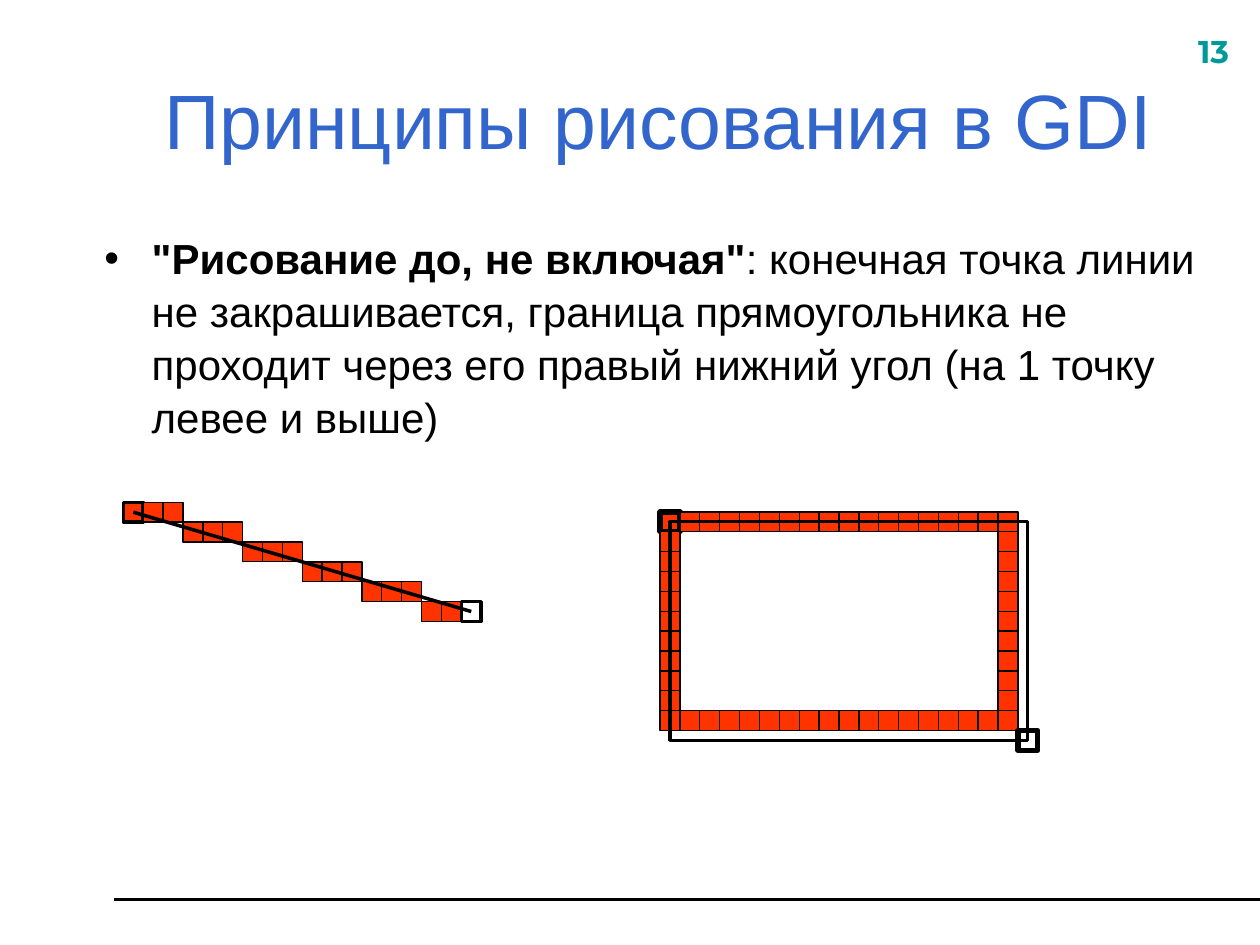
"""Build the slide about the drawing principles of GDI."""
from dataclasses import dataclass

from lxml.etree import SubElement
from pptx import Presentation
from pptx.dml.color import RGBColor
from pptx.enum.shapes import MSO_CONNECTOR, MSO_SHAPE
from pptx.enum.text import MSO_ANCHOR, MSO_AUTO_SIZE, PP_ALIGN
from pptx.oxml.ns import qn
from pptx.util import Pt


@dataclass(frozen=True)
class Theme:
    font: str = "Arial"
    number_font: str = "Montserrat"
    title_size: float = 44
    body_size: float = 24
    number_size: float = 18
    title_color: str = "3366CC"
    number_color: str = "009999"
    ink: str = "000000"
    pixel: str = "FF3300"
    blank: str = "FFFFFF"


THEME = Theme()
TITLE = "Принципы рисования в GDI"
BODY = [
    ('"Рисование до, не включая"', True),
    (": конечная точка линии не закрашивается, граница прямоугольника не "
     "проходит через его правый нижний угол (на 1 точку левее и выше)", False),
]
NUMBER = "13"
CELL = 11.36
THIN = 0.75
COLUMNS, ROWS = 18, 11
STEP = 3
LINE = {
    "origin": (70.5, 287),
    "pixels": [(column, column // STEP) for column in range(COLUMNS - 1)],
    "end": (COLUMNS - 1, (COLUMNS - 1) // STEP),
    "marker": 2,
}
RECTANGLE = {
    "origin": (377.2, 292.5),
    "pixels": [(column, 0) for column in range(COLUMNS)]
    + [(0, row) for row in range(1, ROWS)]
    + [(column, ROWS - 1) for column in range(1, COLUMNS)]
    + [(COLUMNS - 1, row) for row in range(1, ROWS - 1)],
    "end": (COLUMNS, ROWS),
    "marker": 3,
}


def color(value):
    return RGBColor.from_string(value)


def place(shape, left, top, width, height):
    shape.left, shape.top = Pt(left), Pt(top)
    shape.width, shape.height = Pt(width), Pt(height)


def style(span, size, tint, font=THEME.font, bold=False):
    span.font.name, span.font.size, span.font.bold = font, Pt(size), bold
    span.font.color.rgb = color(tint)


def add_box(page, left, top, width, height, fill, weight):
    box = page.shapes.add_shape(
        MSO_SHAPE.RECTANGLE, Pt(left), Pt(top), Pt(width), Pt(height))
    box.shadow.inherit = False
    if fill:
        box.fill.solid()
        box.fill.fore_color.rgb = color(fill)
    else:
        box.fill.background()
    box.line.color.rgb = color(THEME.ink)
    box.line.width = Pt(weight)


def add_line(page, start, end, weight):
    line = page.shapes.add_connector(
        MSO_CONNECTOR.STRAIGHT, *(Pt(value) for value in (*start, *end)))
    line.line.color.rgb = color(THEME.ink)
    line.line.width = Pt(weight)
    SubElement(line._element.spPr, qn("a:effectLst"))


def cell_corner(figure, cell):
    return [start + index * CELL for start, index in zip(figure["origin"], cell)]


def cell_center(figure, cell):
    return [value + CELL / 2 for value in cell_corner(figure, cell)]


def add_pixels(page, figure):
    for cell in figure["pixels"]:
        weight = THIN if any(cell) else figure["marker"]
        add_box(page, *cell_corner(figure, cell), CELL, CELL, THEME.pixel, weight)
    add_box(page, *cell_corner(figure, figure["end"]), CELL, CELL,
            THEME.blank, figure["marker"])


def add_title(page):
    title = page.shapes.title
    place(title, 52.5, 23, 648, 90)
    title.text_frame.text = TITLE
    title.text_frame.auto_size = MSO_AUTO_SIZE.NONE
    title.text_frame.vertical_anchor = MSO_ANCHOR.MIDDLE
    para = title.text_frame.paragraphs[0]
    para.alignment = PP_ALIGN.CENTER
    style(para.runs[0], THEME.title_size, THEME.title_color)


def add_body(page):
    body = page.placeholders[1]
    place(body, 52.5, 128, 648, 356.5)
    body.text_frame.auto_size = MSO_AUTO_SIZE.NONE
    para = body.text_frame.paragraphs[0]
    para.space_before, para.line_spacing = Pt(6), 1.05
    properties = para._p.get_or_add_pPr()
    properties.set("marL", str(Pt(27)))
    properties.set("indent", str(-Pt(27)))
    for text, bold in BODY:
        span = para.add_run()
        span.text = text
        style(span, THEME.body_size, THEME.ink, bold=bold)


def add_number(page):
    box = page.shapes.add_textbox(Pt(677.5), Pt(15), Pt(45.5), Pt(31.5))
    box.text_frame.word_wrap = True
    box.text_frame.text = NUMBER
    para = box.text_frame.paragraphs[0]
    para.space_before = Pt(11.2)
    style(para.runs[0], THEME.number_size, THEME.number_color,
          THEME.number_font, True)


def main():
    deck = Presentation()
    deck.slide_width, deck.slide_height = Pt(720), Pt(540)
    page = deck.slides.add_slide(deck.slide_layouts[1])
    add_line(page, (65, 514), (720, 514), 1.25)
    add_number(page)
    add_title(page)
    add_body(page)
    add_pixels(page, LINE)
    add_pixels(page, RECTANGLE)
    add_line(page, cell_center(LINE, (0, 0)), cell_center(LINE, LINE["end"]), 2)
    add_box(page, *cell_center(RECTANGLE, (0, 0)), COLUMNS * CELL, ROWS * CELL,
            None, 1.75)
    deck.save("out.pptx")


if __name__ == "__main__":
    main()
